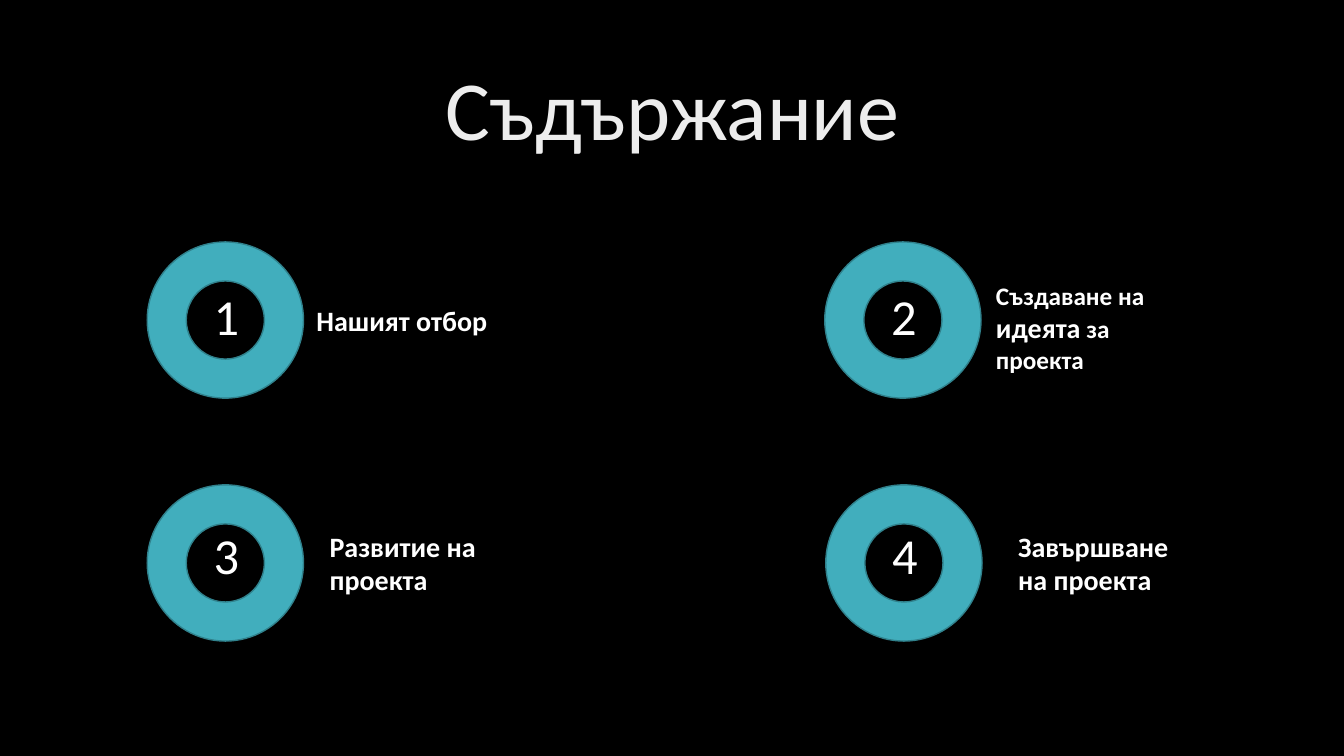
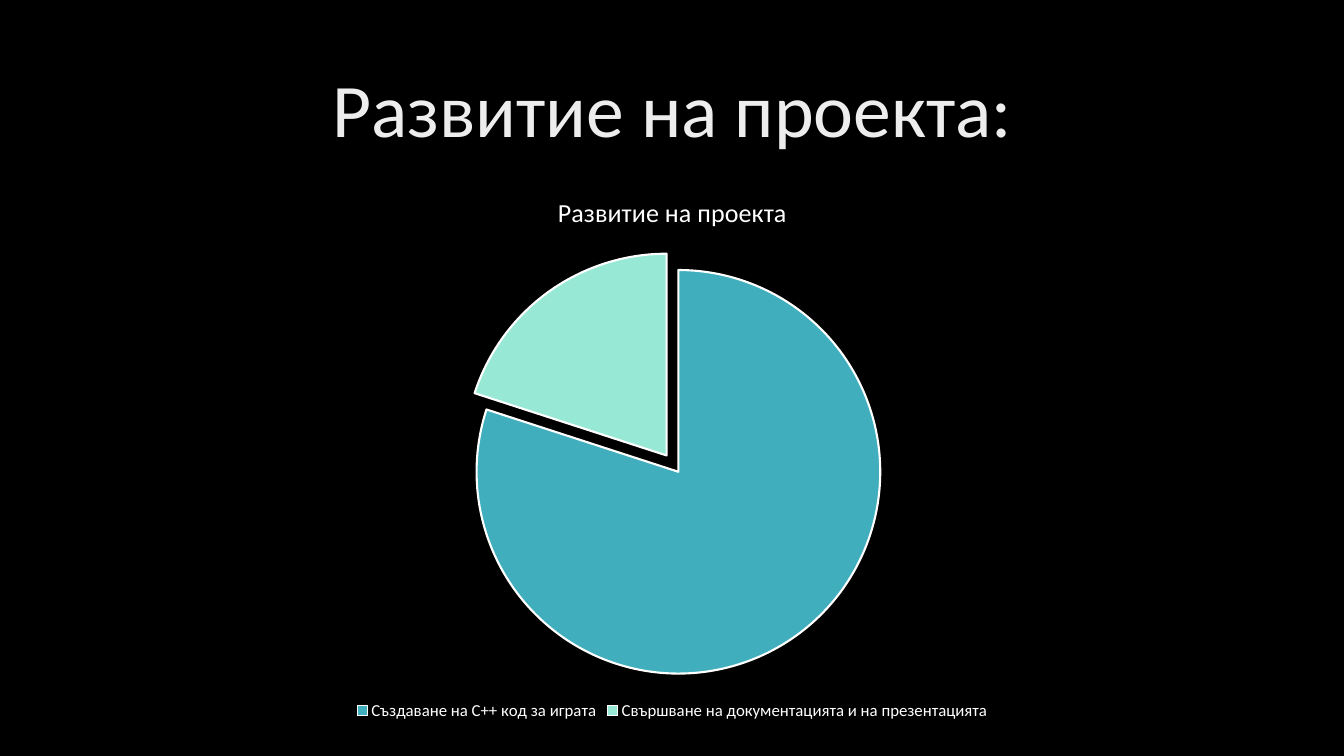
from lxml import etree
from pptx import Presentation
from pptx import util as u
from pptx.chart import data
from pptx.dml import color
from pptx.enum import chart as ch, shapes, text
from pptx.oxml import ns

HUES = {"back": "000000", "title": "EDEDED", "text": "FFFFFF",
        "teal": "41AEBD", "edge": "30818C", "mint": "97E9D5"}
FONT = "Calibri"
RING = 1.55
TOPS = (2.4, 4.81)
HEAD = "Развитие на проекта"


def rgb(name):
    """Return the named colour."""
    return color.RGBColor.from_string(HUES[name])


def style(font, size, hue="text", bold=False):
    """Set the face, size, colour and weight of a font."""
    font.name, font.size, font.bold = FONT, u.Pt(size), bold
    font.color.rgb = rgb(hue)


def write(slide, box, parts, size=20, hue="text", bold=False, wrap=True,
          align=None, anchor=text.MSO_ANCHOR.TOP, space=None, grow=True):
    """Add a text box; parts is a string or a list of (string, size)."""
    frame = slide.shapes.add_textbox(*map(u.Inches, box)).text_frame
    frame.word_wrap = wrap
    frame.vertical_anchor = anchor
    if grow:
        frame.auto_size = text.MSO_AUTO_SIZE.SHAPE_TO_FIT_TEXT
    para = frame.paragraphs[0]
    para.alignment, para.line_spacing = align, space
    for words, pts in [(parts, size)] if isinstance(parts, str) else parts:
        run = para.add_run()
        run.text = words
        style(run.font, pts, hue, bold)


def start(deck, title, size):
    """Add a black slide with a centred title."""
    slide = deck.slides.add_slide(deck.slide_layouts[6])
    fill = slide.background.fill
    fill.solid()
    fill.fore_color.rgb = rgb("back")
    write(slide, (0.92, 0.4, 11.5, 1.45), title, size=size, hue="title",
          align=text.PP_ALIGN.CENTER, anchor=text.MSO_ANCHOR.MIDDLE,
          space=0.9, grow=False)
    return slide


def ring(slide, left, top):
    """Add a teal ring."""
    shape = slide.shapes.add_shape(
        shapes.MSO_SHAPE.DONUT, *map(u.Inches, (left, top, RING, RING)))
    shape.shadow.inherit = False
    shape.fill.solid()
    shape.fill.fore_color.rgb = rgb("teal")
    shape.line.color.rgb = rgb("edge")
    shape.line.width = u.Pt(1)


def pie(slide, box, cats, vals, hues, burst):
    """Add a pie with its slices pulled apart."""
    feed = data.CategoryChartData()
    feed.categories = cats
    feed.add_series(HEAD, vals)
    chart = slide.shapes.add_chart(
        ch.XL_CHART_TYPE.PIE, *map(u.Inches, box), feed).chart
    style(chart.font, 10)
    chart.has_title = True
    chart.chart_title.include_in_layout = False
    frame = chart.chart_title.text_frame
    frame.text = HEAD
    style(frame.paragraphs[0].runs[0].font, 18.6)
    chart.has_legend = True
    chart.legend.position = ch.XL_LEGEND_POSITION.BOTTOM
    chart.legend.include_in_layout = False
    style(chart.legend.font, 12)
    plot = chart.plots[0]
    plot.vary_by_categories = True
    for num, hue in enumerate(hues):
        form = plot.series[0].points[num].format
        form.fill.solid()
        form.fill.fore_color.rgb = rgb(hue)
        form.line.color.rgb = rgb("text")
        form.line.width = u.Pt(1.5)
    for part in plot.series[0]._element.findall(ns.qn("c:dPt")):
        pull = etree.Element(ns.qn("c:explosion"), val=str(burst))
        part.find(ns.qn("c:spPr")).addprevious(pull)


def agenda(deck):
    """Build the contents slide."""
    slide = start(deck, "Съдържание", 60)
    idea = [("Създаване на ", 18), ("идеята", 20), (" за проекта", 18)]
    items = (
        (1.46, 0, 2.78, (3.04, 2.96, 2.48, 0.44), "Нашият отбор"),
        (8.18, 0, 2.78, (9.78, 2.73, 2.11, 1.04), idea),
        (1.46, 1, 5.15, (3.17, 5.2, 1.98, 0.77), HEAD),
        (8.19, 1, 5.15, (10, 5.2, 1.9, 0.77), "Завършване на проекта"),
    )
    for num, (left, row, top, box, label) in enumerate(items, 1):
        ring(slide, left, TOPS[row])
        write(slide, (left + 0.56, top, 0.52, 0.71), str(num), size=36)
        write(slide, box, label, bold=True)


def growth(deck):
    """Build the progress slide."""
    slide = start(deck, HEAD + ":", 54)
    pie(slide, (2.42, 1.72, 8.5, 5.47),
        ("Създаване на C++ код за играта",
         "Свършване на документацията и на презентацията"),
        (80, 20), ("teal", "mint"), 5)


def main():
    """Build and save the deck."""
    deck = Presentation()
    deck.slide_width, deck.slide_height = u.Inches(13.33), u.Inches(7.5)
    agenda(deck)
    growth(deck)
    deck.save("out.pptx")


if __name__ == "__main__":
    main()
